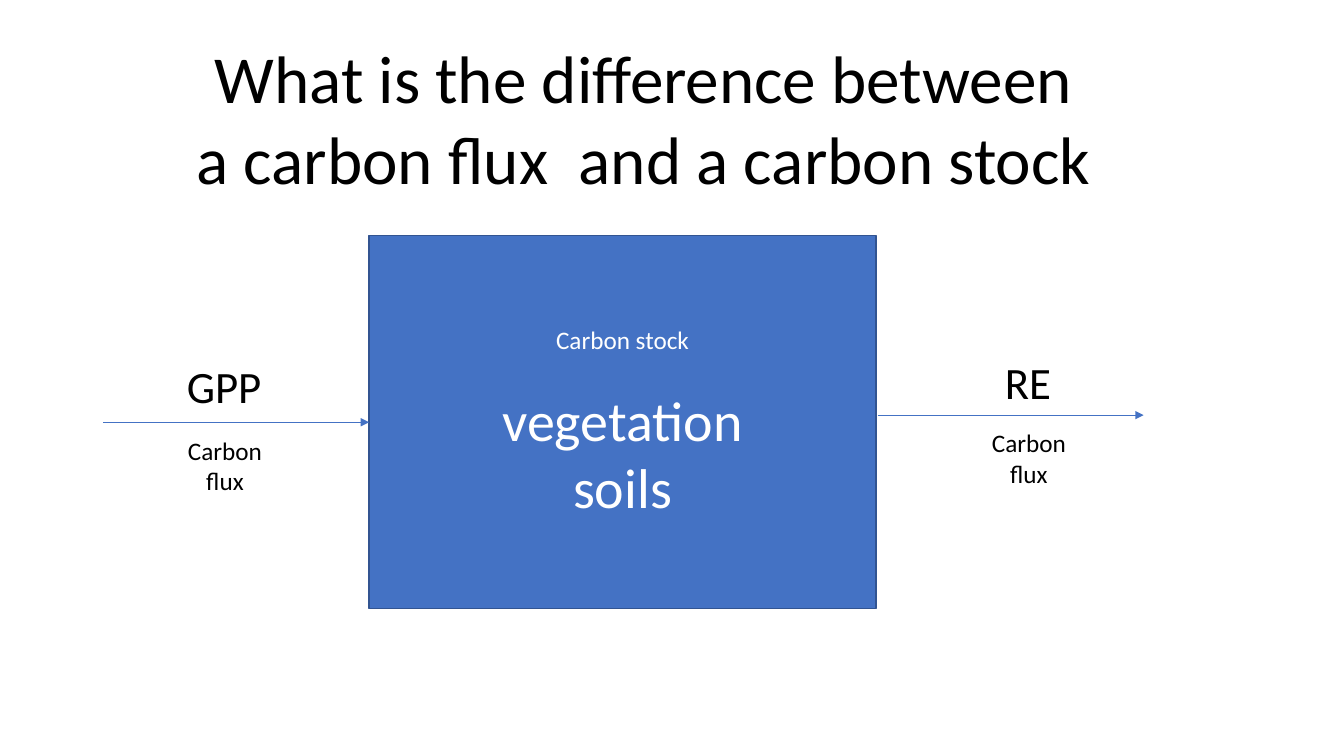
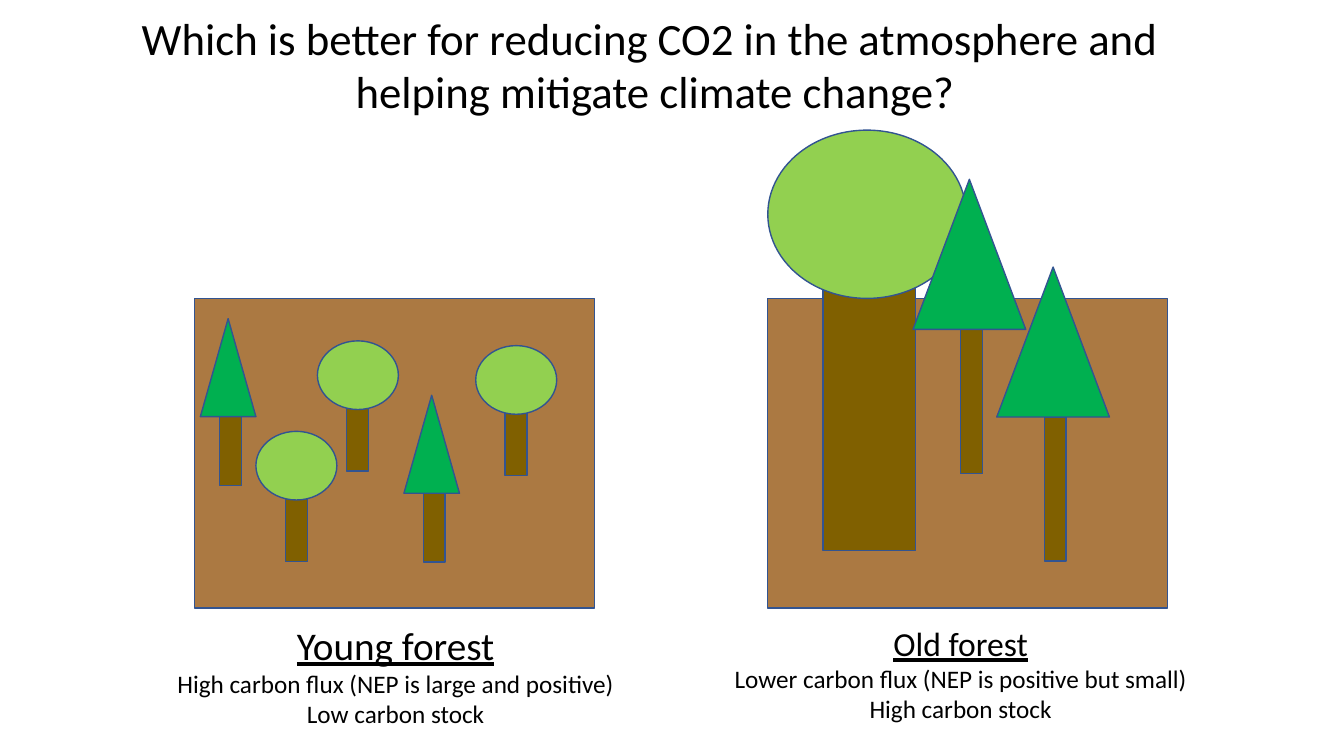
from dataclasses import dataclass

from lxml import etree
from pptx import Presentation
from pptx.dml.color import RGBColor
from pptx.enum.shapes import MSO_CONNECTOR, MSO_SHAPE
from pptx.enum.text import MSO_ANCHOR, MSO_AUTO_SIZE, PP_ALIGN
from pptx.oxml.ns import qn
from pptx.util import Cm, Pt

RECTANGLE, ELLIPSE, TRIANGLE = (
    MSO_SHAPE.RECTANGLE, MSO_SHAPE.OVAL, MSO_SHAPE.ISOSCELES_TRIANGLE)
STRAIGHT = MSO_CONNECTOR.STRAIGHT
TOP, MIDDLE = MSO_ANCHOR.TOP, MSO_ANCHOR.MIDDLE
CENTER = PP_ALIGN.CENTER
NO_AUTOFIT = MSO_AUTO_SIZE.NONE
TITLE_ONLY_LAYOUT = 5
LEFT_SIDE = 1

BLACK = RGBColor(0x00, 0x00, 0x00)
WHITE = RGBColor(0xFF, 0xFF, 0xFF)
STOCK_BLUE = RGBColor(0x44, 0x72, 0xC4)
OUTLINE_BLUE = RGBColor(0x32, 0x54, 0x91)
SOIL_BROWN = RGBColor(0xAB, 0x79, 0x42)
TRUNK_BROWN = RGBColor(0x80, 0x60, 0x00)
LEAF_GREEN = RGBColor(0x92, 0xD0, 0x50)
CONIFER_GREEN = RGBColor(0x00, 0xB0, 0x50)

FONT = "Calibri"
FRAME_FORMAT = {
    "word_wrap": True, "auto_size": NO_AUTOFIT,
    "margin_left": Cm(0.25), "margin_right": Cm(0.25),
    "margin_top": Cm(0.13), "margin_bottom": Cm(0.13),
}


@dataclass(frozen=True)
class Tree:
    """Proportions of one kind of tree, in centimetres."""
    crown: int
    color: RGBColor
    crown_size: tuple
    trunk_size: tuple
    overlap: float = 0
    trunk_shift: float = 0.06


YOUNG_ROUND = Tree(ELLIPSE, LEAF_GREEN, (2.04, 1.73), (0.55, 1.73), 0.18, 0)
YOUNG_CONIFER = Tree(TRIANGLE, CONIFER_GREEN, (1.4, 2.47), (0.55, 1.73))
OLD_ROUND = Tree(ELLIPSE, LEAF_GREEN, (5, 4.24), (2.34, 6.73), 0.38)
OLD_CONIFER = Tree(TRIANGLE, CONIFER_GREEN, (2.84, 3.78), (0.55, 3.63))


def cm_box(*lengths):
    return [Cm(round(length, 2)) for length in lengths]


def apply_format(target, values):
    for name, value in values.items():
        setattr(target, name, value)


def write_lines(frame, lines, color=BLACK, anchor=TOP):
    """Each line is (text, font format, optional space before in points)."""
    apply_format(frame, {**FRAME_FORMAT, "vertical_anchor": anchor})
    for index, (text, font_format, *space) in enumerate(lines):
        line = frame.paragraphs[0] if index == 0 else frame.add_paragraph()
        line.text = text
        line.alignment = CENTER
        if space:
            line.space_before = Pt(space[0])
        apply_format(line.font, {"name": FONT, **font_format})
        line.font.color.rgb = color


def add_label(slide, box, lines):
    label = slide.shapes.add_textbox(*cm_box(*box))
    write_lines(label.text_frame, lines)


def add_block(shapes, kind, box, color):
    block = shapes.add_shape(kind, *cm_box(*box))
    block.shadow.inherit = False
    block.fill.solid()
    block.fill.fore_color.rgb = color
    block.line.color.rgb = OUTLINE_BLUE
    block.line.width = Pt(1)
    return block


def add_titled_slide(deck, box, lines, size):
    slide = deck.slides.add_slide(deck.slide_layouts[TITLE_ONLY_LAYOUT])
    title = slide.shapes.title
    position = dict(zip(("left", "top", "width", "height"), cm_box(*box)))
    apply_format(title, position)
    write_lines(title.text_frame, [(text, {"size": Pt(size)}) for text in lines])
    return slide


def add_flux(slide, left, level, name, name_shift, name_rise):
    """Arrow with the flux name above it and its kind below."""
    arrow = slide.shapes.add_connector(
        STRAIGHT, *cm_box(left, level, left + 6.7, level))
    arrow.line.color.rgb = STOCK_BLUE
    arrow.line.width = Pt(0.5)
    properties = arrow.element.spPr
    etree.SubElement(properties.find(qn("a:ln")), qn("a:tailEnd"), type="triangle")
    etree.SubElement(properties, qn("a:effectLst"))

    label_left = left + name_shift
    add_label(slide, (label_left, level - name_rise, 3, 1.62),
              [(name, {"size": Pt(32)})])
    add_label(slide, (label_left + 0.02, level + 0.19, 3, 1.8),
              [("Carbon flux", {"size": Pt(18)})])
    return arrow


def add_flux_and_stock_slide(deck):
    slide = add_titled_slide(
        deck, (4.22, 0.79, 24, 4.37),
        ["What is the difference between", "a carbon flux  and a carbon stock"], 48)

    # Carbon stock
    left, top, width, height = 9.3, 5.94, 12.78, 9.4
    stock = add_block(slide.shapes, RECTANGLE, (left, top, width, height), STOCK_BLUE)
    write_lines(stock.text_frame, [
        ("Carbon stock", {"size": Pt(18)}),
        ("vegetation", {"size": Pt(40)}, 22),
        ("soils", {"size": Pt(40)}),
    ], WHITE, MIDDLE)

    # Fluxes into and out of the stock
    middle = top + height / 2
    inflow = add_flux(slide, left - 6.7, middle, "GPP", 1.55, 1.73)
    inflow.end_connect(stock, LEFT_SIDE)
    add_flux(slide, left + width + 0.04, middle - 0.18, "RE", 2.29, 1.65)


def add_tree(slide, tree, left, top):
    crown_width, crown_height = tree.crown_size
    trunk_width, trunk_height = tree.trunk_size
    trunk_left = left + (crown_width - trunk_width) / 2 + tree.trunk_shift
    trunk_top = top + crown_height - tree.overlap
    parts = slide.shapes.add_group_shape().shapes
    add_block(parts, RECTANGLE,
              (trunk_left, trunk_top, trunk_width, trunk_height), TRUNK_BROWN)
    add_block(parts, tree.crown, (left, top, crown_width, crown_height), tree.color)


def add_forest(slide, box, trees, caption_offset, heading, heading_size, facts):
    """Soil plot, trees placed from its corner, and a caption below."""
    left, top, width, height = box
    add_block(slide.shapes, RECTANGLE, box, SOIL_BROWN)
    for tree, across, down in trees:
        add_tree(slide, tree, left + across, top + down)

    across, gap = caption_offset
    lines = [(heading, {"size": Pt(heading_size), "underline": True})]
    lines += [(fact, {"size": Pt(18)}) for fact in facts]
    add_label(slide, (left + across, top + height + gap, 12.2, 3), lines)


def add_forest_comparison_slide(deck):
    slide = add_titled_slide(
        deck, (3.01, 0.13, 27, 3),
        ["Which is better for reducing CO2 in the atmosphere and ",
         "helping mitigate climate change?"], 32)

    top, width, height = 7.52, 10.08, 7.8
    add_forest(
        slide, (4.9, top, width, height),
        [(YOUNG_ROUND, 1.55, 3.35), (YOUNG_CONIFER, 5.28, 2.44),
         (YOUNG_ROUND, 3.1, 1.07), (YOUNG_ROUND, 7.09, 1.19),
         (YOUNG_CONIFER, 0.15, 0.51)],
        (-1.03, 0.2), "Young forest", 28,
        ["High carbon flux (NEP is large and positive)", "Low carbon stock"])
    add_forest(
        slide, (19.35, top, width, height),
        [(OLD_ROUND, 0, -4.24), (OLD_CONIFER, 5.77, -0.79),
         (OLD_CONIFER, 3.66, -3)],
        (-1.24, 0.25), "Old forest", 24,
        ["Lower carbon flux (NEP is positive but small)", "High carbon stock"])


def main():
    deck = Presentation()
    deck.slide_width, deck.slide_height = Cm(33.87), Cm(19.05)
    add_flux_and_stock_slide(deck)
    add_forest_comparison_slide(deck)
    deck.save("out.pptx")


if __name__ == "__main__":
    main()
